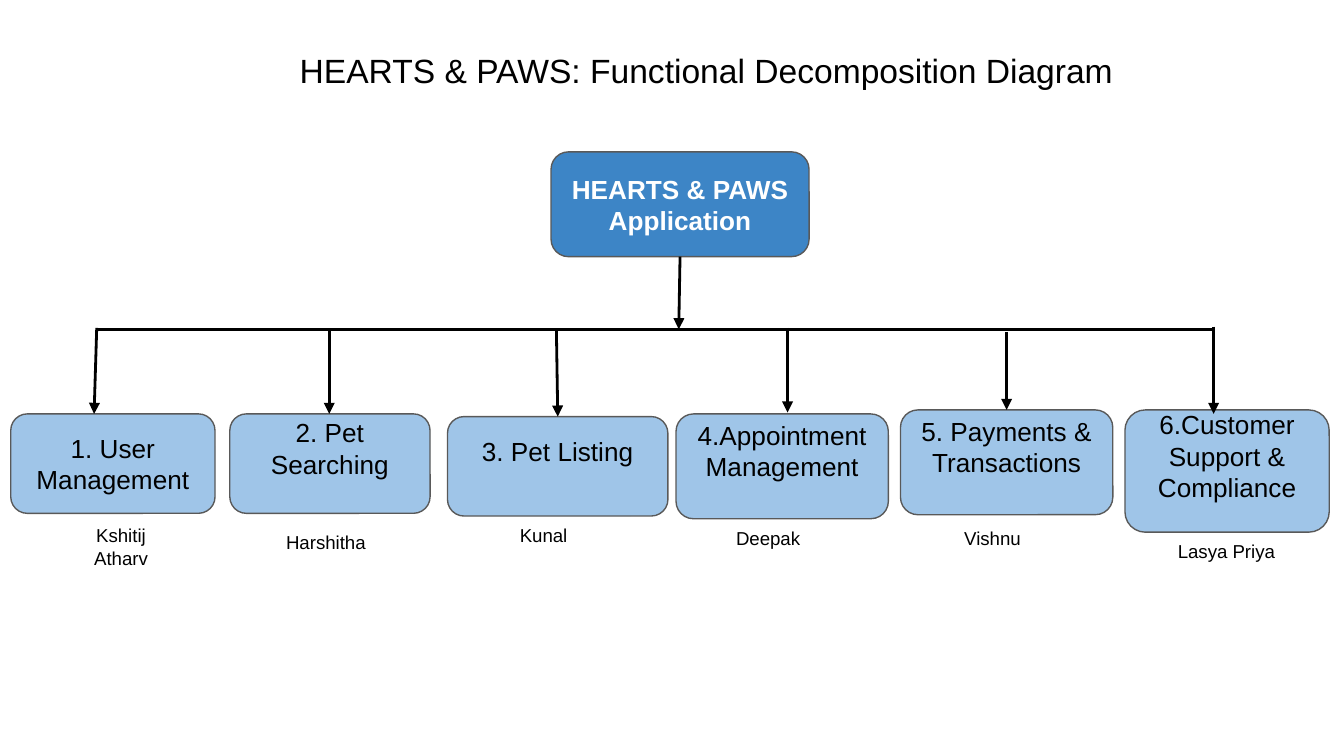
from lxml import etree
from pptx import Presentation
from pptx import util as u
from pptx.dml.color import RGBColor
from pptx.enum import shapes, text
from pptx.oxml.ns import qn

BLACK = RGBColor(0x00, 0x00, 0x00)
WHITE = RGBColor(0xFF, 0xFF, 0xFF)
GREY = RGBColor(0x59, 0x59, 0x59)
BLUE = RGBColor(0x3D, 0x85, 0xC6)
LIGHT_BLUE = RGBColor(0x9F, 0xC5, 0xE8)
MIDDLE = text.MSO_ANCHOR.MIDDLE
TOP = text.MSO_ANCHOR.TOP


def write(holder, words, size=14, color=BLACK, bold=False, align=text.PP_ALIGN.CENTER,
          anchor=TOP, top=0.1, bottom=0.1):
    frame = holder.text_frame
    frame.text = words
    frame.word_wrap = True
    frame.auto_size = text.MSO_AUTO_SIZE.NONE
    frame.vertical_anchor = anchor
    frame.margin_left = frame.margin_right = u.Inches(0.1)
    frame.margin_top, frame.margin_bottom = u.Inches(top), u.Inches(bottom)
    for paragraph in frame.paragraphs:
        paragraph.alignment = align
        for run in paragraph.runs:
            run.font.name = "Arial"
            run.font.size = u.Pt(size)
            run.font.bold = bold
            run.font.color.rgb = color


prs = Presentation()
prs.slide_width, prs.slide_height = u.Inches(10), u.Inches(10 * 9 / 16)
slide = prs.slides.add_slide(prs.slide_layouts[5])

title = slide.shapes.title
title.left, title.top = u.Inches(2.13), u.Inches(0.32)
title.width, title.height = u.Inches(6.28), u.Inches(0.4)
write(title, "HEARTS & PAWS: Functional Decomposition Diagram", size=18,
      align=text.PP_ALIGN.LEFT, top=0.05, bottom=0.05)

application = ("HEARTS & PAWS\nApplication", (4.1, 1.13, 1.92, 0.78), 0.1)
functions = [
    ("1. User Management", (0.08, 3.08, 1.52, 0.74), 0.1),
    ("2. Pet Searching", (1.71, 3.08, 1.49, 0.74), 0.33),
    ("3. Pet Listing", (3.33, 3.1, 1.64, 0.74), 0.33),
    ("4.Appointment Management", (5.03, 3.08, 1.58, 0.78), 0.33),
    ("5. Payments & Transactions", (6.7, 3.05, 1.58, 0.78), 0.33),
    ("6.Customer Support & Compliance", (8.37, 3.05, 1.52, 0.91), 0.33),
]
for label, bounds, bottom in [application] + functions:
    is_root = label == application[0]
    box = slide.shapes.add_shape(shapes.MSO_SHAPE.ROUNDED_RECTANGLE, *map(u.Inches, bounds))
    box.shadow.inherit = False
    box.fill.solid()
    box.fill.fore_color.rgb = BLUE if is_root else LIGHT_BLUE
    box.line.color.rgb = GREY
    box.line.width = u.Pt(0.75)
    write(box, label, color=WHITE if is_root else BLACK, bold=is_root,
          anchor=MIDDLE, bottom=bottom)

owners = [
    ("Kshitij\vAtharv", 0.14, 3.8, 1.52),
    ("Harshitha", 1.74, 3.85, 1.37),
    ("Kunal", 3.36, 3.8, 1.37),
    ("Deepak", 5.03, 3.82, 1.37),
    ("Vishnu", 6.7, 3.82, 1.37),
    ("Lasya Priya", 8.44, 3.92, 1.37),
]
for owner, left, top, width in owners:
    caption = slide.shapes.add_textbox(*map(u.Inches, (left, top, width, 0.32)))
    write(caption, owner, size=10)

trunk = (0.72, 2.45, 9.03, 2.45)
branches = [
    (5.06, 1.91, 5.05, 2.45),
    (0.72, 2.44, 0.7, 3.08),
    (2.45, 2.45, 2.45, 3.08),
    (4.14, 2.45, 4.15, 3.1),
    (5.86, 2.44, 5.86, 3.07),
    (7.49, 2.47, 7.49, 3.05),
    (9.03, 2.43, 9.03, 3.08),
]
for ends in [trunk] + branches:
    link = slide.shapes.add_connector(shapes.MSO_CONNECTOR.STRAIGHT, *map(u.Inches, ends))
    link.line.color.rgb = BLACK
    link.line.width = u.Pt(1.5)
    if ends != trunk:
        etree.SubElement(link.line._get_or_add_ln(), qn("a:tailEnd"), type="triangle")
    etree.SubElement(link._element.spPr, qn("a:effectLst"))

prs.save("out.pptx")
